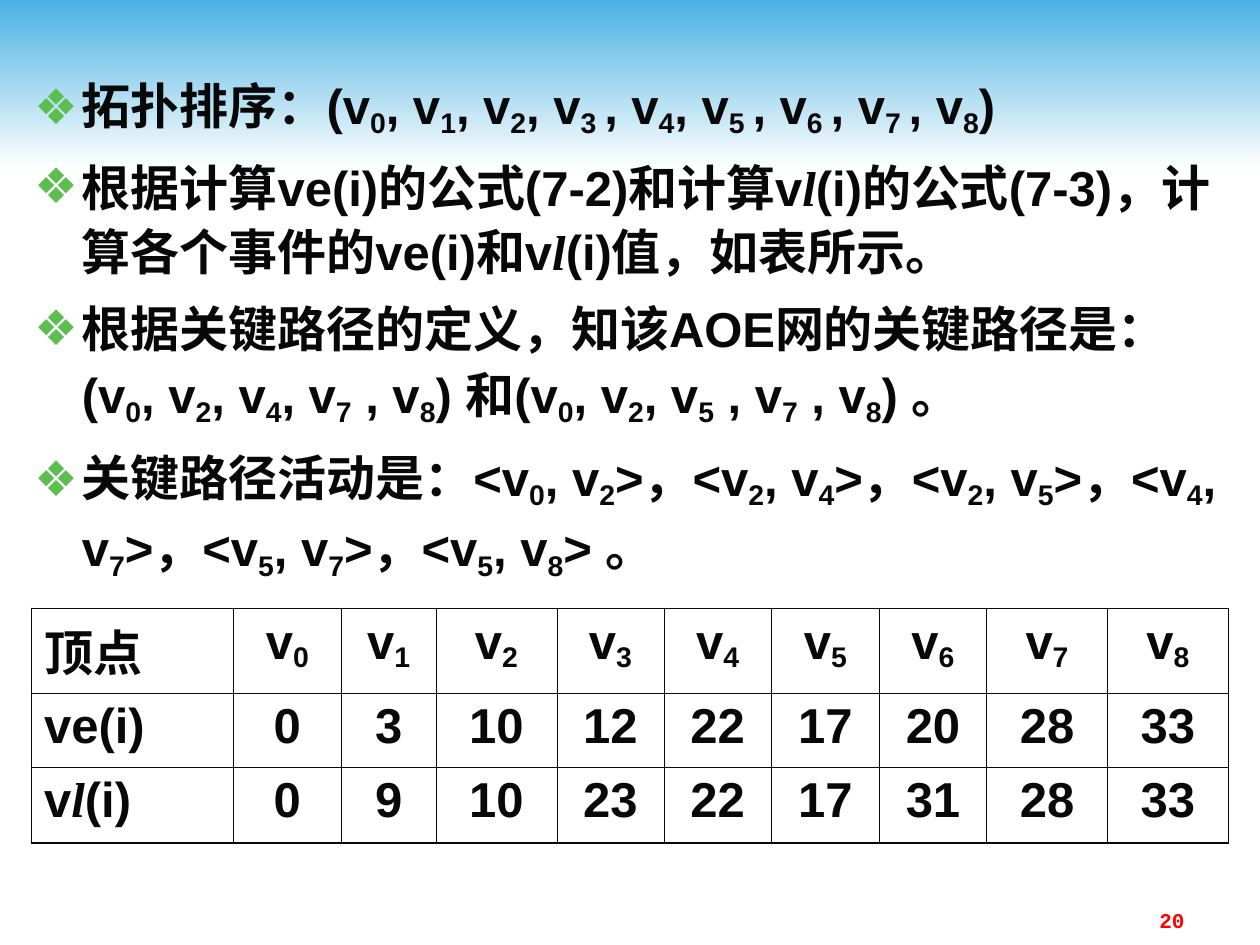
from dataclasses import dataclass

from lxml.etree import SubElement
from pptx import Presentation
from pptx.dml.color import RGBColor
from pptx.enum.shapes import MSO_SHAPE
from pptx.enum.text import MSO_ANCHOR, MSO_AUTO_SIZE, PP_ALIGN
from pptx.oxml.ns import qn
from pptx.util import Inches, Pt


@dataclass(frozen=True)
class Theme:
    ink: str = "080808"
    bullet: str = "5BBE4E"
    band_top: str = "4AB1E4"
    band_bottom: str = "FEFEFE"
    number: str = "FF0000"
    body_font: str = "Arial"
    italic_font: str = "Times New Roman"
    number_font: str = "Courier New"
    body_size: int = 28
    number_size: int = 12
    space_before: int = 7
    outer_line: float = 1.08
    inner_line: float = 0.45


@dataclass(frozen=True)
class Point:
    """Marked text: pieces between underscores are subscripts, or an italic l."""
    text: str
    subscript: int = -20


THEME = Theme()

POINTS = [
    Point("拓扑排序：(v_0_, v_1_, v_2_, v_3 _, v_4_, v_5 _, v_6 _, v_7 _, v_8_)", -18),
    Point("根据计算ve(i)的公式(7-2)和计算v_l_(i)的公式(7-3)，"
          "计算各个事件的ve(i)和v_l_(i)值，如表所示。"),
    Point("根据关键路径的定义，知该AOE网的关键路径是： "
          "(v_0_, v_2_, v_4_, v_7_ , v_8_) 和(v_0_, v_2_, v_5_ , v_7_ , v_8_) 。"),
    Point("关键路径活动是：<v_0_, v_2_>，<v_2_, v_4_>，<v_2_, v_5_>，"
          "<v_4_, v_7_>，<v_5_, v_7_>，<v_5_, v_8_> 。"),
]

EVENT_ROWS = [
    ["顶点"] + [f"v_{i}_" for i in range(9)],
    ["ve(i)", 0, 3, 10, 12, 22, 17, 20, 28, 33],
    ["v_l_(i)", 0, 9, 10, 23, 22, 17, 31, 28, 33],
]
COLUMN_WIDTHS = [1.6, 0.86, 0.75, 0.96, 0.85, 0.85, 0.86, 0.85, 0.96, 0.96]
ROW_HEIGHTS = [0.67, 0.59, 0.6]


def set_font(paragraph, name: str, size: int, color: str) -> None:
    font = paragraph.font
    font.name, font.size, font.bold = name, Pt(size), True
    font.color.rgb = RGBColor.from_string(color)


def write_marked(paragraph, text: str, subscript: int) -> None:
    set_font(paragraph, THEME.body_font, THEME.body_size, THEME.ink)
    for index, piece in enumerate(text.split("_")):
        if not piece:
            continue
        run = paragraph.add_run()
        run.text = piece
        if index % 2 and piece == "l":
            run.font.name, run.font.italic = THEME.italic_font, True
        elif index % 2:
            run.font._element.set("baseline", str(subscript * 1000))


def add_bullet(paragraph) -> None:
    properties = paragraph._p.get_or_add_pPr()
    properties.set("marL", str(Inches(0.38)))
    properties.set("indent", str(Inches(-0.38)))
    color = SubElement(properties, qn("a:buClr"))
    SubElement(color, qn("a:srgbClr"), val=THEME.bullet)
    SubElement(properties, qn("a:buChar"), char="❖")


def add_band(slide) -> None:
    band = slide.shapes.add_shape(MSO_SHAPE.RECTANGLE, 0, 0, Inches(10), Inches(1.33))
    band.shadow.inherit = False
    band.line.fill.background()
    band.fill.gradient()
    band.fill.gradient_angle = 270
    for stop, color, position in zip(band.fill.gradient_stops,
                                     (THEME.band_top, THEME.band_bottom), (0, 1)):
        stop.color.rgb = RGBColor.from_string(color)
        stop.position = position
    # Behind the text
    slide.shapes._spTree.insert(2, band._element)


def fill_body(body, points: list[Point]) -> None:
    body.left, body.top = Inches(0.17), Inches(0.5)
    body.width, body.height = Inches(9.67), Inches(6.42)
    frame = body.text_frame
    frame.auto_size = MSO_AUTO_SIZE.NONE
    frame.vertical_anchor = MSO_ANCHOR.TOP
    for index, point in enumerate(points):
        paragraph = frame.add_paragraph() if index else frame.paragraphs[0]
        paragraph.line_spacing = 1.1
        paragraph.space_before = Pt(THEME.space_before)
        add_bullet(paragraph)
        write_marked(paragraph, point.text, point.subscript)


def set_borders(cell, outer: dict[str, bool]) -> None:
    properties = cell._tc.get_or_add_tcPr()
    for side, is_outer in outer.items():
        width = THEME.outer_line if is_outer else THEME.inner_line
        line = SubElement(properties, qn(f"a:ln{side}"), w=str(Pt(width)))
        fill = SubElement(line, qn("a:solidFill"))
        SubElement(fill, qn("a:srgbClr"), val=THEME.ink)


def add_event_table(slide, rows: list[list]) -> None:
    last_row, last_column = len(rows) - 1, len(rows[0]) - 1
    table = slide.shapes.add_table(len(rows), len(rows[0]), Inches(0.25), Inches(4.83),
                                   Inches(9.5), Inches(1.86)).table
    table.first_row = table.horz_banding = False
    for column, width in zip(table.columns, COLUMN_WIDTHS):
        column.width = Inches(width)
    for row, height in zip(table.rows, ROW_HEIGHTS):
        row.height = Inches(height)
    for r, values in enumerate(rows):
        for c, value in enumerate(values):
            cell = table.cell(r, c)
            set_borders(cell, {"L": c == 0, "R": c == last_column,
                               "T": r == 0, "B": r == last_row})
            cell.fill.background()
            paragraph = cell.text_frame.paragraphs[0]
            paragraph.alignment = PP_ALIGN.CENTER if c else PP_ALIGN.LEFT
            paragraph.space_before = Pt(THEME.space_before)
            write_marked(paragraph, str(value), -18)


def add_page_number(slide, number: str) -> None:
    box = slide.shapes.add_textbox(Inches(7.17), Inches(7.15), Inches(2.33), Inches(0.27))
    box.text_frame.word_wrap = True
    paragraph = box.text_frame.paragraphs[0]
    paragraph.text = number
    paragraph.alignment = PP_ALIGN.RIGHT
    set_font(paragraph, THEME.number_font, THEME.number_size, THEME.number)


def main() -> None:
    deck = Presentation()
    deck.slide_width, deck.slide_height = Inches(10), Inches(7.5)
    slide = deck.slides.add_slide(deck.slide_layouts[1])

    # The slide has body text but no title
    heading = slide.shapes.title._element
    heading.getparent().remove(heading)

    add_band(slide)
    fill_body(slide.placeholders[1], POINTS)
    add_event_table(slide, EVENT_ROWS)
    add_page_number(slide, "20")
    deck.save("out.pptx")


if __name__ == "__main__":
    main()
